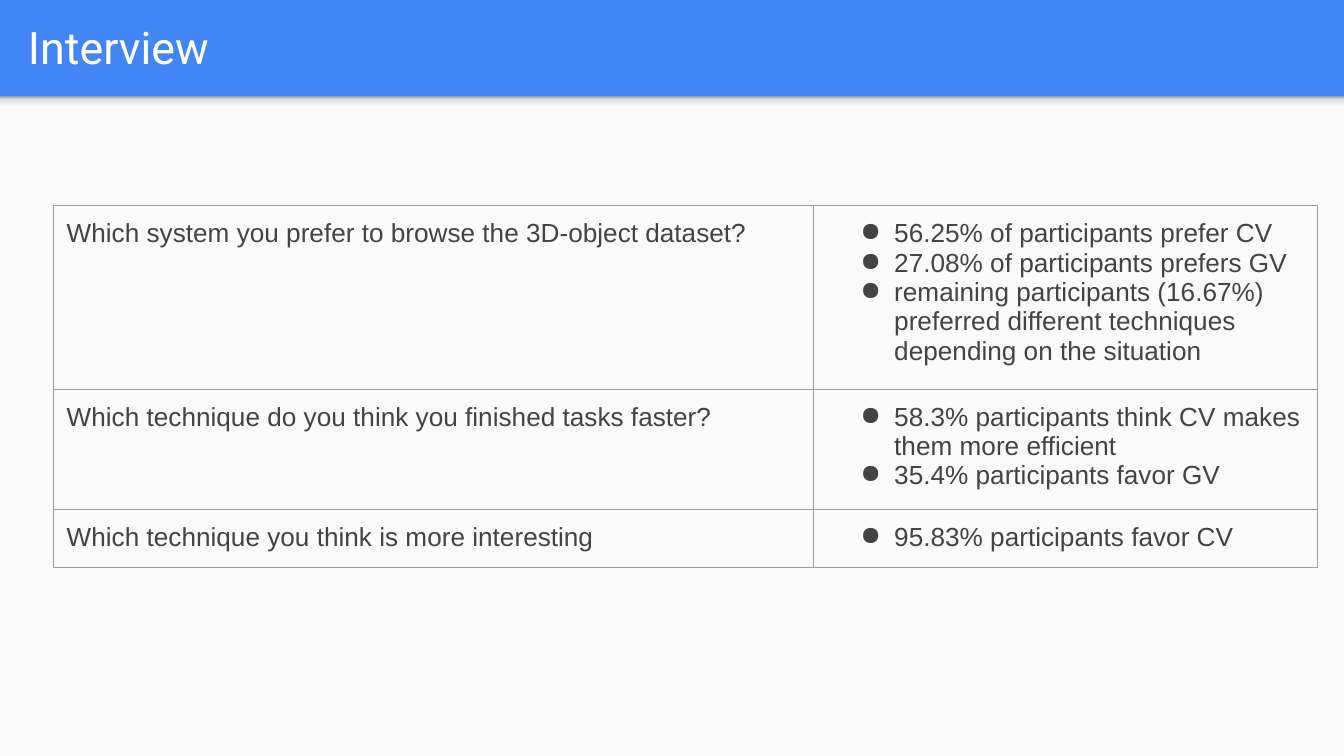
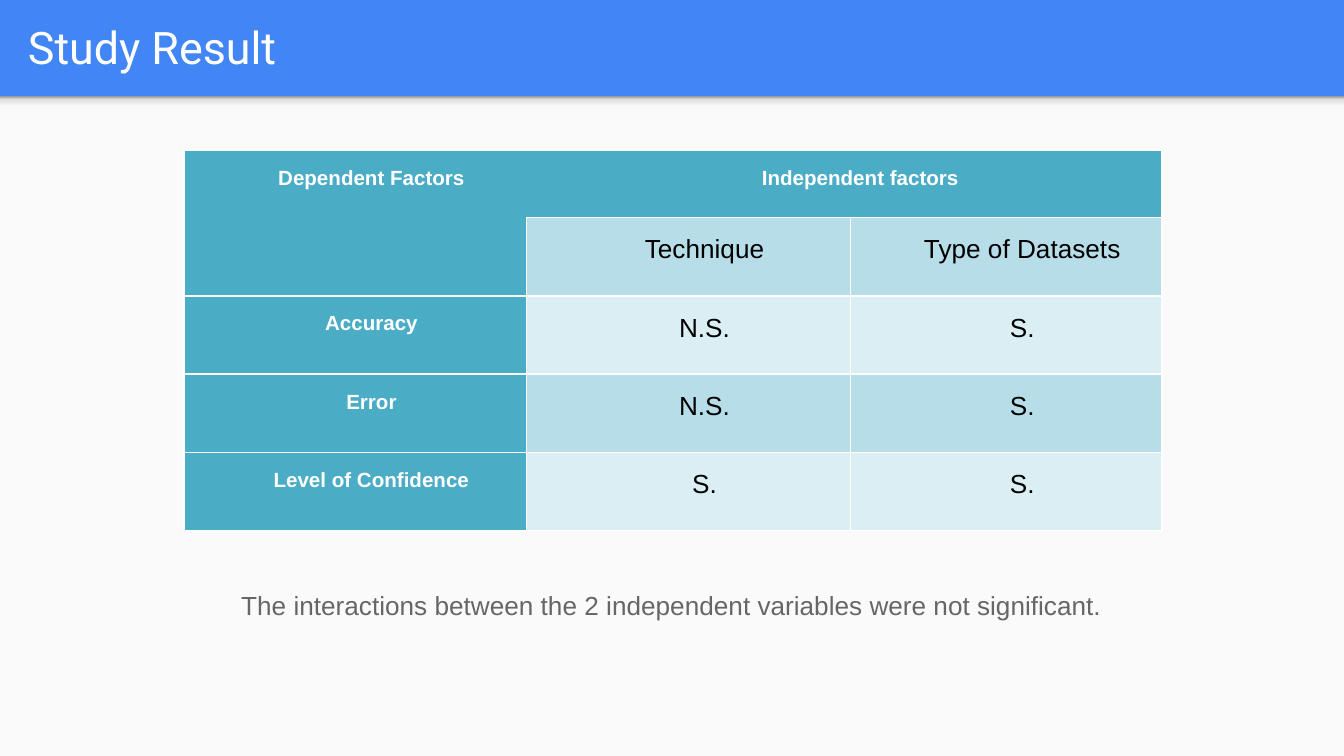
from copy import deepcopy

from lxml import etree
from pptx import Presentation
from pptx.dml.color import RGBColor
from pptx.enum.shapes import MSO_SHAPE
from pptx.enum.text import MSO_ANCHOR, PP_ALIGN
from pptx.oxml.ns import qn
from pptx.util import Cm, Pt

RECT = MSO_SHAPE.RECTANGLE
MIDDLE = MSO_ANCHOR.MIDDLE
LEFT, CENTER = PP_ALIGN.LEFT, PP_ALIGN.CENTER

BLUE = RGBColor(0x42, 0x85, 0xF4)
PAPER = RGBColor(0xFA, 0xFA, 0xFA)
WHITE = RGBColor(0xFF, 0xFF, 0xFF)
BLACK = RGBColor(0x00, 0x00, 0x00)
INK = RGBColor(0x43, 0x43, 0x43)
GREY = RGBColor(0x66, 0x66, 0x66)
RULE = RGBColor(0x9E, 0x9E, 0x9E)
TEAL = RGBColor(0x4B, 0xAC, 0xC6)
AQUA = RGBColor(0xB6, 0xDD, 0xE8)
PALE = RGBColor(0xDA, 0xEE, 0xF3)
SHADE = [
    (0, RGBColor(0xF9, 0xF9, 0xF9)),
    (0.36, RGBColor(0xF9, 0xF9, 0xF9)),
    (0.8, RGBColor(0xDE, 0xDE, 0xDE)),
    (1, RGBColor(0x99, 0x99, 0x99)),
]

WIDTH, HEIGHT = Cm(25.4), Cm(14.29)
BAND = Cm(1.82)
PAD = Cm(0.25)


def add_color(parent, tag, color):
    node = etree.SubElement(parent, qn(tag))
    etree.SubElement(node, qn("a:srgbClr")).set("val", str(color))


class Deck:
    def __init__(self):
        self.prs = Presentation()
        self.prs.slide_width, self.prs.slide_height = WIDTH, HEIGHT
        self.slide = None

    def start(self, title):
        """Add a slide with its band, page area, shade and title."""
        self.slide = self.prs.slides.add_slide(self.prs.slide_layouts[6])
        back = self.slide.background.fill
        back.solid()
        back.fore_color.rgb = BLUE
        page = self.rect(BAND, HEIGHT - BAND)
        page.fill.solid()
        page.fill.fore_color.rgb = PAPER
        self.shade(self.rect(BAND, Cm(0.3)))
        frame = self.text(title, Cm(0.28), Cm(0.05), Cm(24.5), Cm(1.68),
                          24, WHITE, font="Roboto")
        frame.vertical_anchor = MIDDLE

    def rect(self, top, height):
        shape = self.slide.shapes.add_shape(RECT, 0, top, WIDTH, height)
        shape.shadow.inherit = False
        shape.line.fill.background()
        return shape

    def shade(self, shape):
        fill = shape.fill
        fill.gradient()
        fill.gradient_angle = 90
        stops = next(shape.element.iter(qn("a:gsLst")))
        for stop in list(stops):
            stops.append(deepcopy(stop))
        for stop, (place, color) in zip(fill.gradient_stops, SHADE):
            stop.position = place
            stop.color.rgb = color

    def style(self, para, size, color, font="Arial", bold=False,
              align=LEFT, space=1):
        para.alignment = align
        para.line_spacing = space
        for run in para.runs:
            run.font.name = font
            run.font.size = Pt(size)
            run.font.bold = bold
            run.font.color.rgb = color

    def text(self, words, left, top, width, height, size, color, **look):
        box = self.slide.shapes.add_textbox(left, top, width, height)
        frame = box.text_frame
        frame.word_wrap = True
        frame.margin_left = frame.margin_right = PAD
        frame.margin_top = frame.margin_bottom = PAD
        frame.text = words
        self.style(frame.paragraphs[0], size, color, **look)
        return frame

    def table(self, left, top, cols, rows):
        frame = self.slide.shapes.add_table(
            len(rows), len(cols), left, top, sum(cols), sum(rows))
        table = frame.table
        table.first_row = table.horz_banding = False
        for col, width in zip(table.columns, cols):
            col.width = width
        for row, height in zip(table.rows, rows):
            row.height = height
        return table

    def cell(self, cell, words, side, color, width, fill=None, skip=""):
        """Set text, margins, borders and fill; skip names bare sides."""
        cell.margin_left = cell.margin_right = side
        cell.margin_top = cell.margin_bottom = PAD
        cell.text_frame.text = words
        props = cell._tc.get_or_add_tcPr()
        for edge in "LRTB":
            line = etree.SubElement(props, qn(f"a:ln{edge}"))
            line.set("w", str(Pt(width)))
            if edge in skip:
                etree.SubElement(line, qn("a:noFill"))
            else:
                add_color(line, "a:solidFill", color)
        if fill is None:
            cell.fill.background()
        else:
            cell.fill.solid()
            cell.fill.fore_color.rgb = fill
        return cell.text_frame.paragraphs

    def indent(self, para, left, first=0):
        props = para._p.get_or_add_pPr()
        props.set("marL", str(left))
        props.set("indent", str(first))
        return props

    def bullet(self, para):
        props = self.indent(para, Cm(1.27), -Cm(0.64))
        add_color(props, "a:buClr", INK)
        etree.SubElement(props, qn("a:buChar")).set("char", "●")


def interview(deck):
    deck.start("Interview")
    answers = [
        ("Which system you prefer to browse the 3D-object dataset?",
         ["56.25% of participants prefer CV",
          "27.08% of participants prefers GV",
          "remaining participants (16.67%) preferred different techniques "
          "depending on the situation"]),
        ("Which technique do you think you finished tasks faster?",
         ["58.3% participants think CV makes them more efficient",
          "35.4% participants favor GV"]),
        ("Which technique you think is more interesting",
         ["95.83% participants favor CV"]),
    ]
    table = deck.table(Cm(1.01), Cm(3.89), [Cm(14.37), Cm(9.52)],
                       [Cm(3.27), Cm(2.17), Cm(1.06)])
    for row, (question, points) in enumerate(answers):
        for col, words in enumerate([question, "\n".join(points)]):
            paras = deck.cell(table.cell(row, col), words, PAD, RULE, 0.75)
            for para in paras:
                if col == 1:
                    deck.bullet(para)
                deck.style(para, 14, INK)


def result(deck):
    deck.start("Study Result")
    grid = [
        ["Dependent Factors", "Independent factors", ""],
        ["", "Technique", "Type of Datasets"],
        ["Accuracy", "N.S.", "S."],
        ["Error", "N.S.", "S."],
        ["Level of Confidence", "S.", "S."],
    ]
    bare = {(0, 0): "R", (0, 1): "L"}
    table = deck.table(Cm(3.48), Cm(2.84), [Cm(6.47), Cm(6.12), Cm(5.89)],
                       [Cm(1.27)] + [Cm(1.48)] * 4)
    for row, line in enumerate(grid):
        for col, words in enumerate(line):
            head = row == 0 or col == 0
            fill = TEAL if head else AQUA if row % 2 else PALE
            para = deck.cell(table.cell(row, col), words, Cm(0.19), WHITE, 1,
                             fill, bare.get((row, col), ""))[0]
            deck.indent(para, Cm(0.61))
            deck.style(para, 11 if head else 14, WHITE if head else BLACK,
                       bold=head, align=CENTER, space=1.15)
    table.cell(0, 0).merge(table.cell(1, 0))
    table.cell(0, 1).merge(table.cell(0, 2))
    deck.text("The interactions between the 2 independent variables were "
              "not significant.", Cm(2.18), Cm(10.59), Cm(21.03), Cm(2.57),
              14, GREY, align=CENTER, space=1.5)


def main():
    deck = Deck()
    interview(deck)
    result(deck)
    deck.prs.save("out.pptx")


if __name__ == "__main__":
    main()
